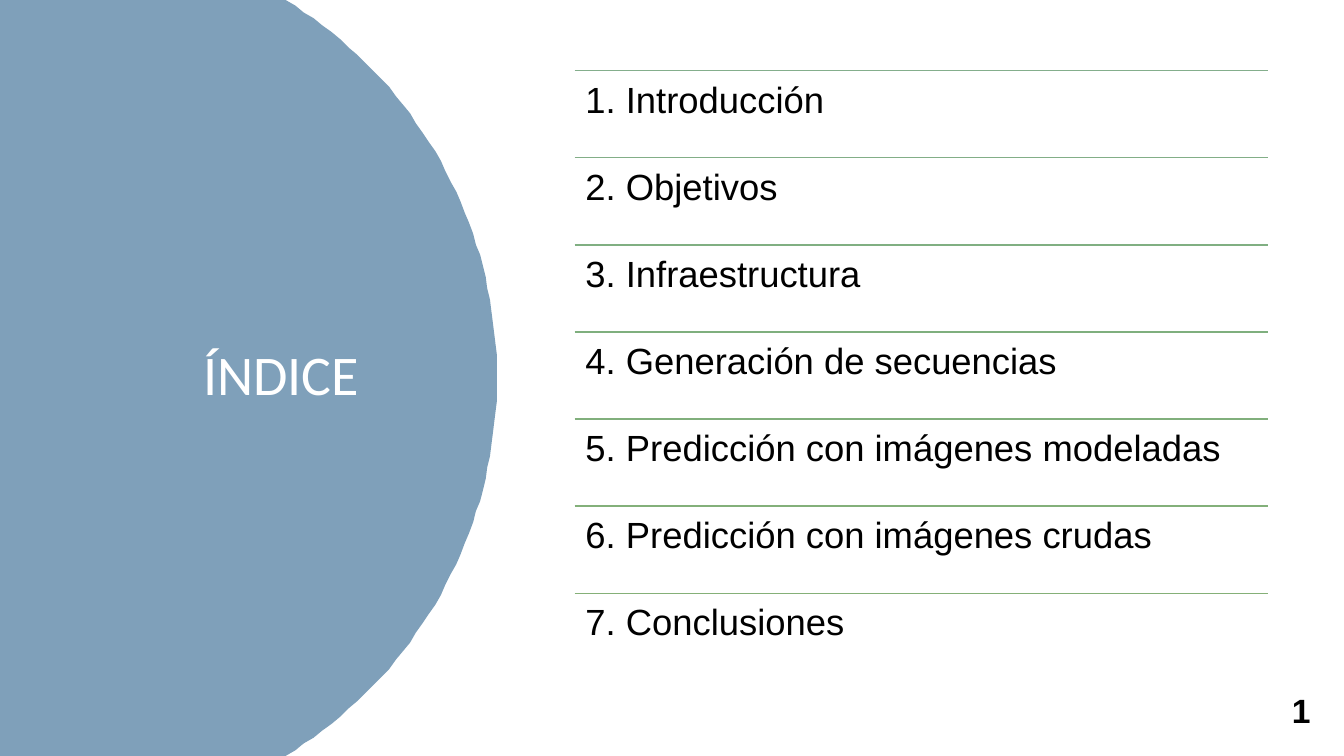
from math import asin, cos, sin

from lxml.etree import SubElement
from pptx import Presentation
from pptx.dml.color import RGBColor
from pptx.enum.shapes import MSO_CONNECTOR as Connector
from pptx.enum.text import MSO_ANCHOR as Anchor, PP_ALIGN as Align
from pptx.oxml.ns import qn
from pptx.util import Pt

WIDTH, HEIGHT = 960, 540
COLORS = {"panel": "7FA0BA", "title": "FFFFFF", "text": "000000", "background": "FFFFFF"}
TOPICS = {
    "1. Introducción": "84AE8C",
    "2. Objetivos": "82AE87",
    "3. Infraestructura": "80AF82",
    "4. Generación de secuencias": "7FAF7E",
    "5. Predicción con imágenes modeladas": "81AF7C",
    "6. Predicción con imágenes crudas": "83B07A",
    "7. Conclusiones": "85B078",
}


def rgb(value):
    """Turn a hex string into a colour."""
    return RGBColor.from_string(value)


def write(frame, text, size, color, font="Arial", bold=False, align=Align.LEFT, spacing=1.0):
    """Write one formatted run into the first paragraph of a text frame."""
    paragraph = frame.paragraphs[0]
    paragraph.alignment = align
    paragraph.line_spacing = spacing
    run = paragraph.add_run()
    run.text = text
    run.font.name, run.font.size, run.font.bold = font, Pt(size), bold
    run.font.color.rgb = rgb(color)


def set_margins(frame, margin):
    """Give a text frame the same margin on all sides."""
    frame.margin_left = frame.margin_right = Pt(margin)
    frame.margin_top = frame.margin_bottom = Pt(margin)


def add_panel(slide, left, top, width, height, bulge=151.2, steps=80):
    """Draw the panel whose right edge is a circular arc, bulging by the given depth."""
    half = height / 2
    radius = (bulge ** 2 + half ** 2) / (2 * bulge)
    center_x, center_y = left + width - radius, top + half
    limit = asin(half / radius)
    angles = [limit * (2 * step / steps - 1) for step in range(steps + 1)]
    arc = [(center_x + radius * cos(angle), center_y + radius * sin(angle)) for angle in angles]
    builder = slide.shapes.build_freeform(left, top, scale=Pt(1))
    builder.add_line_segments(arc + [(left, top + height)], close=True)
    panel = builder.convert_to_shape()
    panel.shadow.inherit = False
    panel.fill.solid()
    panel.fill.fore_color.rgb = rgb(COLORS["panel"])
    panel.line.fill.background()


def add_title(slide, left, top, width, height):
    """Place the title placeholder in front of the panel."""
    title = slide.shapes.title
    title.left, title.top, title.width, title.height = map(Pt, (left, top, width, height))
    slide.shapes.element.append(title.element)
    frame = title.text_frame
    frame.vertical_anchor = Anchor.MIDDLE
    frame.margin_left = Pt(79.2)
    write(frame, "ÍNDICE", 40, COLORS["title"], "Calibri", spacing=0.9)


def add_rule(slide, left, top, width, color):
    """Draw a thin horizontal line."""
    rule = slide.shapes.add_connector(
        Connector.STRAIGHT, Pt(left), Pt(top), Pt(left + width), Pt(top))
    rule.line.color.rgb = rgb(color)
    rule.line.width = Pt(1)
    SubElement(rule.element.spPr, qn("a:effectLst"))


def add_topics(slide, left, top, width, height):
    """Stack the topics in equal rows, each under its own line."""
    row_height = height / len(TOPICS)
    for index, (topic, color) in enumerate(TOPICS.items()):
        row_top = top + index * row_height
        add_rule(slide, left, row_top, width, color)
        box = slide.shapes.add_textbox(Pt(left), Pt(row_top), Pt(width), Pt(row_height))
        box.text_frame.word_wrap = True
        set_margins(box.text_frame, 7.8)
        write(box.text_frame, topic, 26, COLORS["text"], spacing=0.9)


def add_page_number(slide, left, top, width, height):
    """Write the page number."""
    box = slide.shapes.add_textbox(Pt(left), Pt(top), Pt(width), Pt(height))
    box.text_frame.word_wrap = False
    write(box.text_frame, "1", 24, COLORS["text"], bold=True, align=Align.CENTER)


def add_index_slide(presentation):
    """Build the index slide from its regions."""
    slide = presentation.slides.add_slide(presentation.slide_layouts[5])
    slide.background.fill.solid()
    slide.background.fill.fore_color.rgb = rgb(COLORS["background"])
    add_panel(slide, 0, 0, 355, HEIGHT)
    add_title(slide, 66, 50.5, 232.5, 438.5)
    add_topics(slide, 410.4, 50.5, 495.4, 435.5)
    add_page_number(slide, 914.4, 489.6, 30.2, 36)


presentation = Presentation()
presentation.slide_width, presentation.slide_height = Pt(WIDTH), Pt(HEIGHT)
add_index_slide(presentation)
presentation.save("out.pptx")
